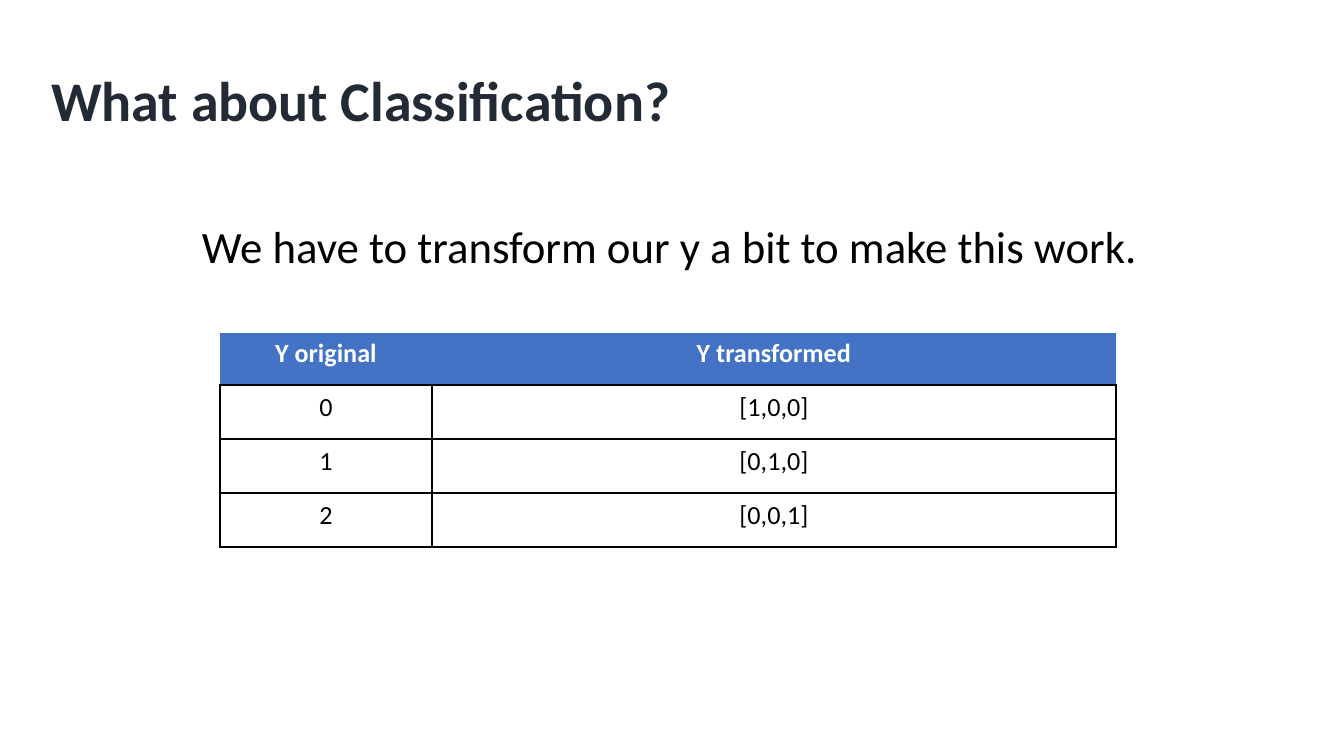
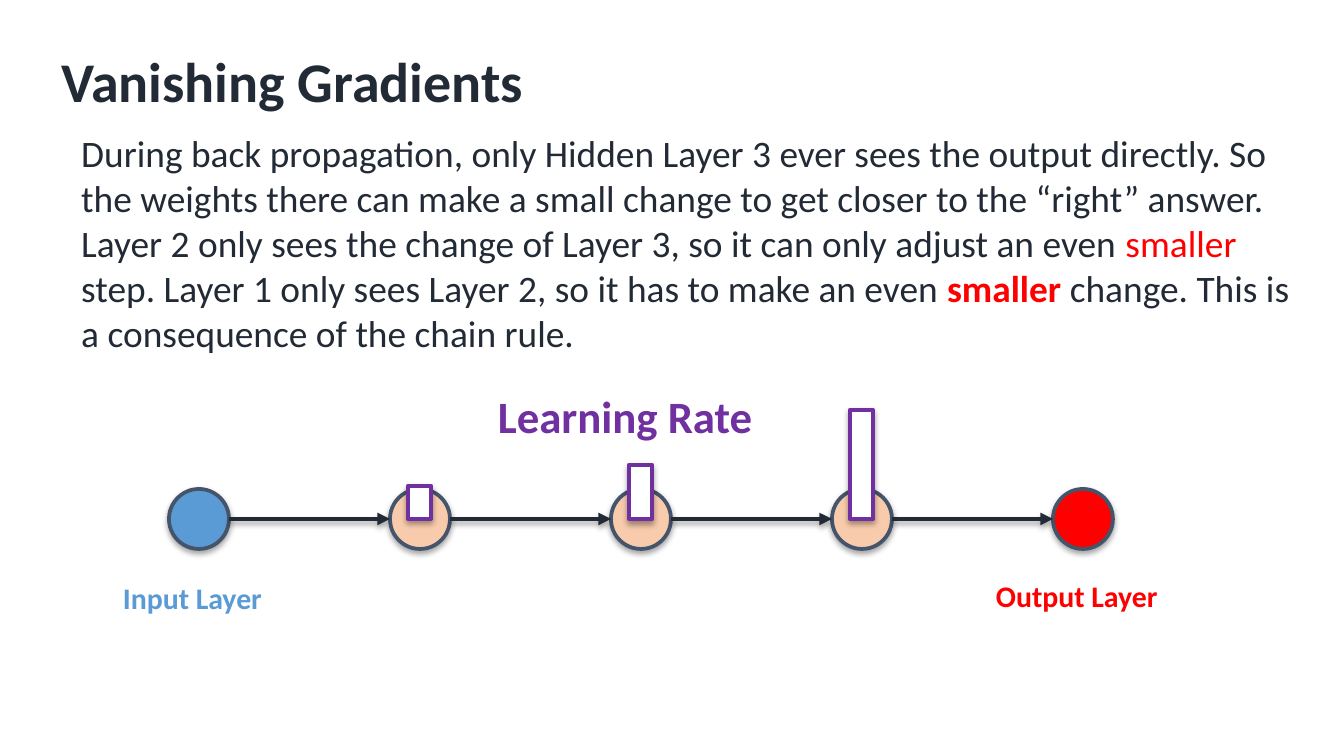
from itertools import pairwise

from lxml.etree import SubElement
from pptx import Presentation
from pptx.dml.color import RGBColor
from pptx.enum.shapes import MSO_CONNECTOR, MSO_SHAPE
from pptx.enum.text import MSO_AUTO_SIZE, PP_ALIGN
from pptx.oxml.ns import qn
from pptx.util import Emu, Pt

EMU_PER_PX = 914400 / 134.4
FONT = "Calibri"
INK, BLACK, WHITE, OFF_WHITE = "222A35", "000000", "FFFFFF", "FEFFFF"
BLUE, RED, PEACH, PURPLE = "5B9BD5", "FF0000", "F8CBAD", "7030A0"
HEADER_BLUE, NODE_OUTLINE = "4472C4", "44546A"

SLIDE_SIZE = (1344, 756)
TITLE_SIZE = (1141, 102)
TIGHT_INSET = 7

CLASSIFICATION_TITLE = ("What about Classification?", 38, 59)
TRANSFORM_NOTE = "We have to transform our y a bit to make this work."
LABEL_ROWS = [
    ("Y original", "Y transformed"),
    ("0", "[1,0,0]"),
    ("1", "[0,1,0]"),
    ("2", "[0,0,1]"),
]
ROW_FILLS = [HEADER_BLUE, WHITE, OFF_WHITE, WHITE]
TABLE_LEFT, TABLE_TOP, ROW_HEIGHT = 220, 331, 54
COLUMN_WIDTHS = [212, 684]

GRADIENTS_TITLE = ("Vanishing Gradients", 48, 40)
EXPLANATION = [
    ("During back propagation, only Hidden Layer 3 ever sees the output directly. "
     "So the weights there can make a small change to get closer to the “right” answer. "
     "Layer 2 only sees the change of Layer 3, so it can only adjust an even ", INK, False),
    ("smaller", RED, False),
    (" step. Layer 1 only sees Layer 2, so it has to make an even ", INK, False),
    ("smaller", RED, True),
    (" change. This is a consequence of the chain rule.", INK, False),
]
NETWORK_LABELS = [
    ("Input Layer", 16, BLUE, (116, 573, 167, 50)),
    ("Output Layer", 16, RED, (989, 571, 192, 50)),
    ("Learning Rate", 24, PURPLE, (491, 382, 323, 67)),
]
LAYERS = [(BLUE, 0), (PEACH, 33), (PEACH, 54), (PEACH, 109), (RED, 0)]
NODE_LEFT, NODE_TOP, NODE_SIZE, NODE_PITCH = 169, 489, 60, 221
BAR_WIDTH = 23


def px(value):
    return Emu(round(value * EMU_PER_PX))


def color(value):
    return RGBColor.from_string(value)


def add_run(paragraph, text, size, text_color, bold=False):
    run = paragraph.add_run()
    run.text = text
    run.font.name = FONT
    run.font.size = Pt(size)
    run.font.bold = bold
    run.font.color.rgb = color(text_color)


def add_text(slide, box, runs, size, inset=None):
    shape = slide.shapes.add_textbox(*map(px, box))
    frame = shape.text_frame
    frame.word_wrap = True
    if inset is not None:
        frame.margin_left = frame.margin_right = px(inset)
        frame.margin_top = frame.margin_bottom = px(inset)
        frame.auto_size = MSO_AUTO_SIZE.SHAPE_TO_FIT_TEXT
    for text, text_color, bold in runs:
        add_run(frame.paragraphs[0], text, size, text_color, bold)


def add_titled_slide(presentation, title):
    text, left, top = title
    slide = presentation.slides.add_slide(presentation.slide_layouts[6])
    add_text(slide, (left, top, *TITLE_SIZE), [(text, INK, True)], 30)
    return slide


def add_shadow(properties):
    effects = properties.find(qn("a:effectLst"))
    if effects is None:
        effects = SubElement(properties, qn("a:effectLst"))
    shadow = SubElement(effects, qn("a:outerShdw"), blurRad=str(Pt(3)),
                        dist=str(Pt(1.8)), dir="5400000", rotWithShape="0")
    shade = SubElement(shadow, qn("a:srgbClr"), val=BLACK)
    SubElement(shade, qn("a:alpha"), val="35000")


def add_outlined_shape(slide, kind, box, fill, outline, width):
    shape = slide.shapes.add_shape(kind, *map(px, box))
    shape.shadow.inherit = False
    shape.fill.solid()
    shape.fill.fore_color.rgb = color(fill)
    shape.line.color.rgb = color(outline)
    shape.line.width = Pt(width)
    add_shadow(shape._element.spPr)


def add_arrow(slide, start, end, height):
    arrow = slide.shapes.add_connector(
        MSO_CONNECTOR.STRAIGHT, px(start), px(height), px(end), px(height))
    arrow.line.color.rgb = color(INK)
    arrow.line.width = Pt(2.25)
    SubElement(arrow.line._get_or_add_ln(), qn("a:tailEnd"), type="triangle")
    add_shadow(arrow._element.spPr)


def set_borders(cell, borders):
    properties = cell._tc.get_or_add_tcPr()
    for index, (side, border) in enumerate(borders.items()):
        line = properties.makeelement(qn(f"a:ln{side}"), {})
        properties.insert(index, line)
        if border is None:
            SubElement(line, qn("a:noFill"))
        else:
            border_color, width = border
            line.set("w", str(Pt(width)))
            fill = SubElement(line, qn("a:solidFill"))
            SubElement(fill, qn("a:srgbClr"), val=border_color)


def add_label_table(slide):
    table = slide.shapes.add_table(
        len(LABEL_ROWS), len(COLUMN_WIDTHS), px(TABLE_LEFT), px(TABLE_TOP),
        px(sum(COLUMN_WIDTHS)), px(ROW_HEIGHT * len(LABEL_ROWS))).table
    table.horz_banding = False
    for column, width in zip(table.columns, COLUMN_WIDTHS):
        column.width = px(width)
    thin = (BLACK, 1)
    for row_index, (values, fill) in enumerate(zip(LABEL_ROWS, ROW_FILLS)):
        is_header = row_index == 0
        side = None if is_header else thin
        top = (WHITE, 2) if is_header else thin
        table.rows[row_index].height = px(ROW_HEIGHT)
        for column_index, text in enumerate(values):
            cell = table.cell(row_index, column_index)
            cell.fill.solid()
            cell.fill.fore_color.rgb = color(fill)
            set_borders(cell, {"L": side, "R": side, "T": top, "B": thin})
            paragraph = cell.text_frame.paragraphs[0]
            paragraph.alignment = PP_ALIGN.CENTER
            add_run(paragraph, text, 14, OFF_WHITE if is_header else BLACK, is_header)


def add_network(slide):
    lefts = [NODE_LEFT + index * NODE_PITCH for index in range(len(LAYERS))]
    middle = NODE_TOP + NODE_SIZE // 2
    for left, (fill, _) in zip(lefts, LAYERS):
        add_outlined_shape(slide, MSO_SHAPE.OVAL, (left, NODE_TOP, NODE_SIZE, NODE_SIZE),
                           fill, NODE_OUTLINE, 2)
    for left, next_left in pairwise(lefts):
        add_arrow(slide, left + NODE_SIZE, next_left, middle)
    for left, (_, height) in zip(lefts, LAYERS):
        if height:
            bar_left = left + (NODE_SIZE - BAR_WIDTH) // 2
            add_outlined_shape(slide, MSO_SHAPE.RECTANGLE,
                               (bar_left, middle - height, BAR_WIDTH, height),
                               OFF_WHITE, PURPLE, 2.25)


def build_classification(presentation):
    slide = add_titled_slide(presentation, CLASSIFICATION_TITLE)
    add_text(slide, (195, 212, 1016, 67), [(TRANSFORM_NOTE, BLACK, False)], 24, TIGHT_INSET)
    add_label_table(slide)


def build_gradients(presentation):
    slide = add_titled_slide(presentation, GRADIENTS_TITLE)
    add_text(slide, (68, 124, 1254, 241), EXPLANATION, 20)
    add_network(slide)
    for text, size, text_color, box in NETWORK_LABELS:
        add_text(slide, box, [(text, text_color, True)], size, TIGHT_INSET)


def main():
    presentation = Presentation()
    presentation.slide_width, presentation.slide_height = map(px, SLIDE_SIZE)
    build_classification(presentation)
    build_gradients(presentation)
    presentation.save("out.pptx")


if __name__ == "__main__":
    main()
